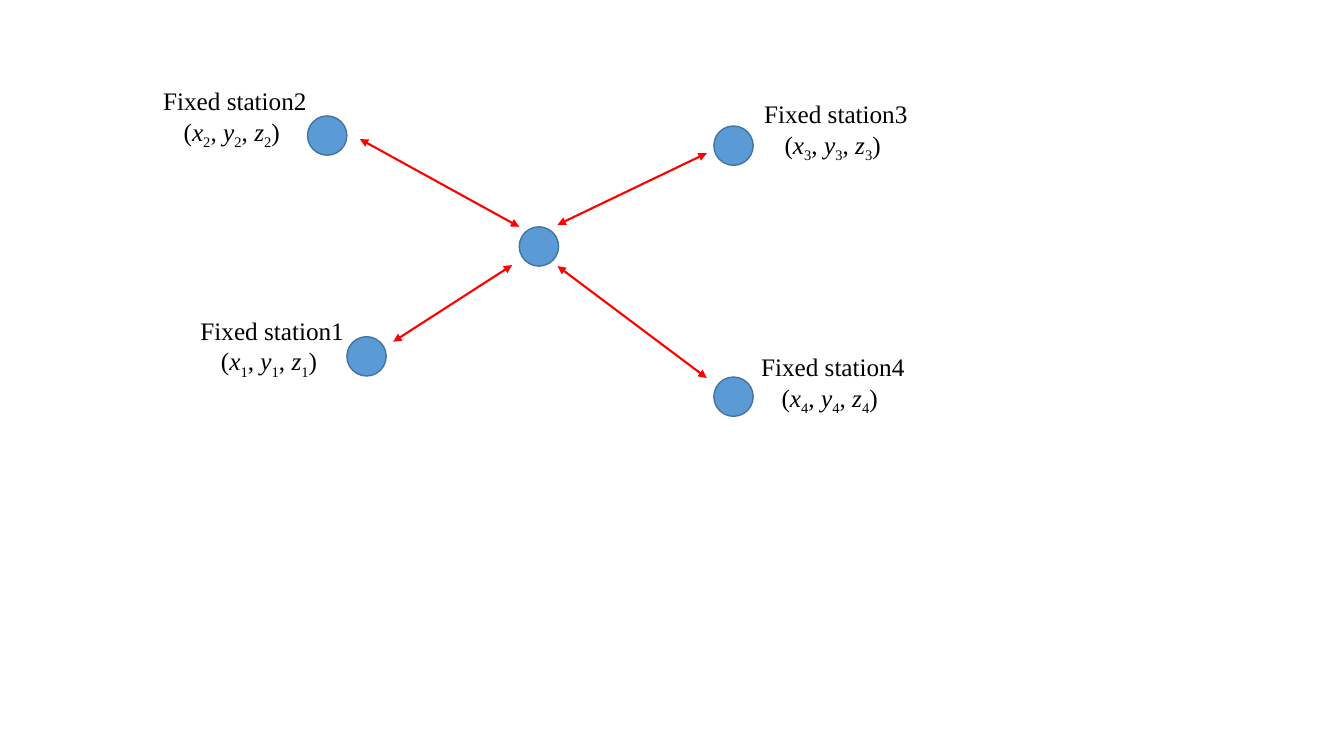
"""Build a slide of four fixed stations ranging to one central node."""
from dataclasses import dataclass

from lxml.etree import SubElement
from pptx import Presentation
from pptx.dml.color import RGBColor
from pptx.enum.shapes import MSO_CONNECTOR, MSO_SHAPE
from pptx.enum.text import MSO_AUTO_SIZE, PP_ALIGN
from pptx.oxml.ns import qn
from pptx.util import Inches, Pt


@dataclass(frozen=True)
class Theme:
    """Colours, font and sizes of the slide."""
    node_fill: RGBColor = RGBColor.from_string("5B9BD5")
    node_line: RGBColor = RGBColor.from_string("43739E")
    arrow: RGBColor = RGBColor.from_string("FF0000")
    text: RGBColor = RGBColor.from_string("000000")
    font: str = "Times New Roman"
    text_size: Pt = Pt(18)
    node_width: Pt = Pt(1)
    arrow_width: Pt = Pt(1.5)


theme = Theme()


def add_span(para, text, italic=False, subscript=False):
    """Add one formatted run to a paragraph."""
    span = para.add_run()
    span.text = text
    span.font.name = theme.font
    span.font.size = theme.text_size
    span.font.color.rgb = theme.text
    span.font.italic = italic
    if subscript:
        span.font._element.set("baseline", "-25000")


deck = Presentation()
deck.slide_width, deck.slide_height = Inches(13.33), Inches(7.5)
page = deck.slides.add_slide(deck.slide_layouts[6])

node_size = Inches(0.39)
nodes = [(3.05, 1.15), (7.08, 3.74), (3.44, 3.34), (7.08, 1.25), (5.15, 2.25)]
for left, top in nodes:
    node = page.shapes.add_shape(
        MSO_SHAPE.OVAL, Inches(left), Inches(top), node_size, node_size)
    node.shadow.inherit = False
    node.fill.solid()
    node.fill.fore_color.rgb = theme.node_fill
    node.line.color.rgb = theme.node_line
    node.line.width = theme.node_width

labels = [(1.88, 3.08), (1.51, 0.8), (7.47, 0.93), (7.44, 3.44)]
for number, (left, top) in enumerate(labels, start=1):
    box = page.shapes.add_textbox(Inches(left), Inches(top), Inches(1.64), Inches(0.71))
    frame = box.text_frame
    frame.word_wrap = False
    frame.auto_size = MSO_AUTO_SIZE.SHAPE_TO_FIT_TEXT
    title, coordinates = frame.paragraphs[0], frame.add_paragraph()
    title.alignment = coordinates.alignment = PP_ALIGN.CENTER
    add_span(title, f"Fixed station{number}")
    for lead, axis in (("(", "x"), (", ", "y"), (", ", "z")):
        add_span(coordinates, lead)
        add_span(coordinates, axis, italic=True)
        add_span(coordinates, str(number), subscript=True)
    add_span(coordinates, ") ")

arrows = [
    (3.57, 1.38, 5.15, 2.25),
    (5.53, 2.23, 7.01, 1.52),
    (5.53, 2.64, 7.01, 3.75),
    (5.08, 2.63, 3.9, 3.39),
]
for ends in arrows:
    arrow = page.shapes.add_connector(MSO_CONNECTOR.STRAIGHT, *map(Inches, ends))
    arrow.line.color.rgb = theme.arrow
    arrow.line.width = theme.arrow_width
    outline = arrow.line._get_or_add_ln()
    for end in ("a:headEnd", "a:tailEnd"):
        SubElement(outline, qn(end), type="triangle")
    SubElement(arrow._element.spPr, qn("a:effectLst"))

deck.save("out.pptx")
